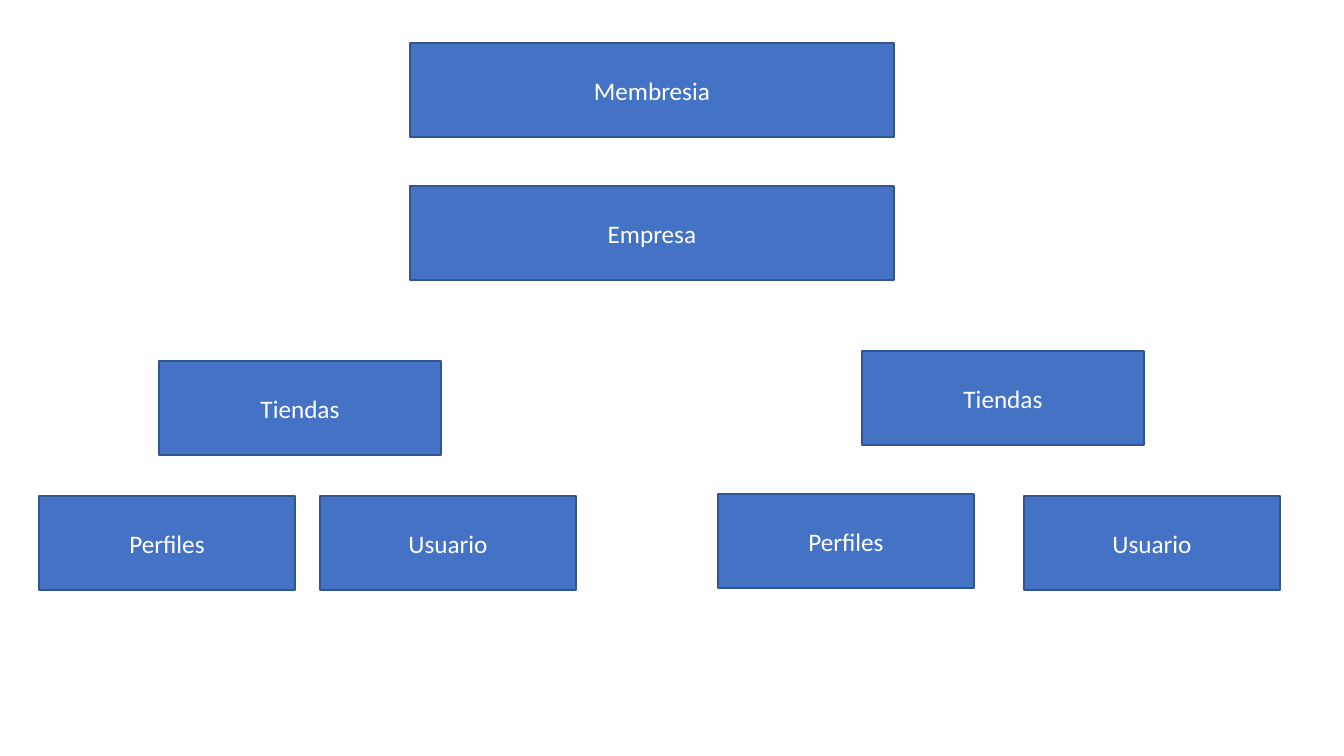
from pptx import Presentation
from pptx.dml.color import RGBColor
from pptx.enum.shapes import MSO_SHAPE
from pptx.enum.text import MSO_ANCHOR, PP_ALIGN
from pptx.util import Emu, Pt

RECTANGLE = MSO_SHAPE.RECTANGLE
MIDDLE = MSO_ANCHOR.MIDDLE
CENTER = PP_ALIGN.CENTER

BLUE = RGBColor(0x44, 0x72, 0xC4)
DARK_BLUE = RGBColor(0x32, 0x54, 0x91)
WHITE = RGBColor(0xFF, 0xFF, 0xFF)

PX_PER_INCH = 100.8
SLIDE_WIDTH, SLIDE_HEIGHT = 1344, 756
BLANK_LAYOUT = 6

BOX_HEIGHT = 94
COMPANY_WIDTH, STORE_WIDTH, DETAIL_WIDTH = 484, 282, 256

# Label, left, top, width
BOXES = [
    ("Membresia", 410, 43, COMPANY_WIDTH),
    ("Empresa", 410, 186, COMPANY_WIDTH),
    ("Tiendas", 159, 361, STORE_WIDTH),
    ("Perfiles", 39, 496, DETAIL_WIDTH),
    ("Usuario", 320, 496, DETAIL_WIDTH),
    ("Tiendas", 862, 351, STORE_WIDTH),
    ("Perfiles", 718, 494, DETAIL_WIDTH),
    ("Usuario", 1024, 496, DETAIL_WIDTH),
]


def px(length):
    return Emu(round(length * 914400 / PX_PER_INCH))


class OrganizationSlide:
    font_name = "Calibri"
    font_size = Pt(18)
    line_width = Pt(1)

    def __init__(self, slide):
        self.slide = slide

    def box(self, label, left, top, width, height=BOX_HEIGHT):
        shape = self.slide.shapes.add_shape(
            RECTANGLE, px(left), px(top), px(width), px(height))
        shape.shadow.inherit = False
        shape.fill.solid()
        shape.fill.fore_color.rgb = BLUE
        shape.line.color.rgb = DARK_BLUE
        shape.line.width = self.line_width
        self.text(shape.text_frame, label)

    def text(self, frame, label):
        frame.word_wrap = True
        frame.vertical_anchor = MIDDLE
        paragraph = frame.paragraphs[0]
        paragraph.alignment = CENTER
        run = paragraph.add_run()
        run.text = label
        run.font.name = self.font_name
        run.font.size = self.font_size
        run.font.color.rgb = WHITE


def main():
    presentation = Presentation()
    presentation.slide_width = px(SLIDE_WIDTH)
    presentation.slide_height = px(SLIDE_HEIGHT)
    layout = presentation.slide_layouts[BLANK_LAYOUT]
    organization = OrganizationSlide(presentation.slides.add_slide(layout))
    for label, left, top, width in BOXES:
        organization.box(label, left, top, width)
    presentation.save("out.pptx")


if __name__ == "__main__":
    main()
